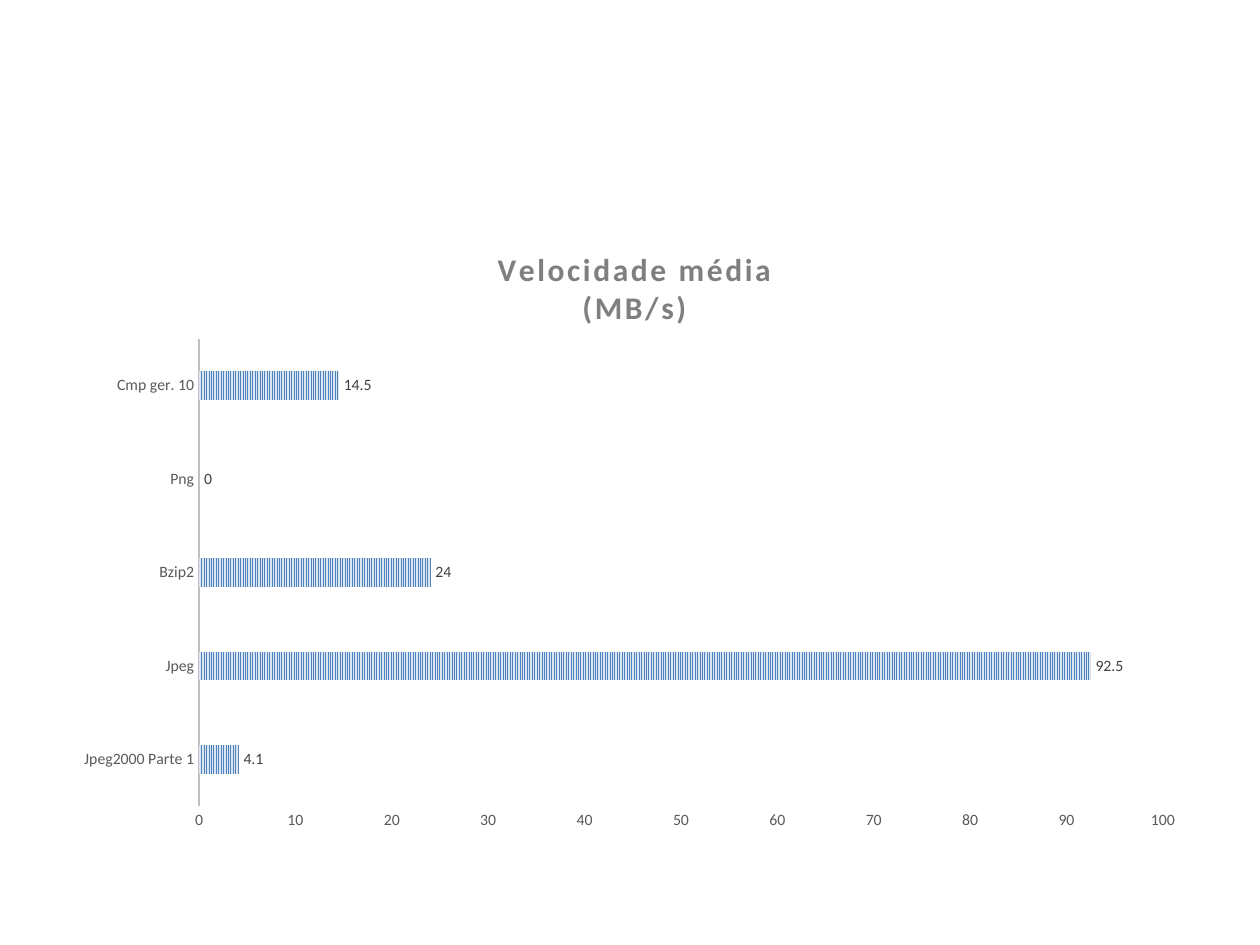
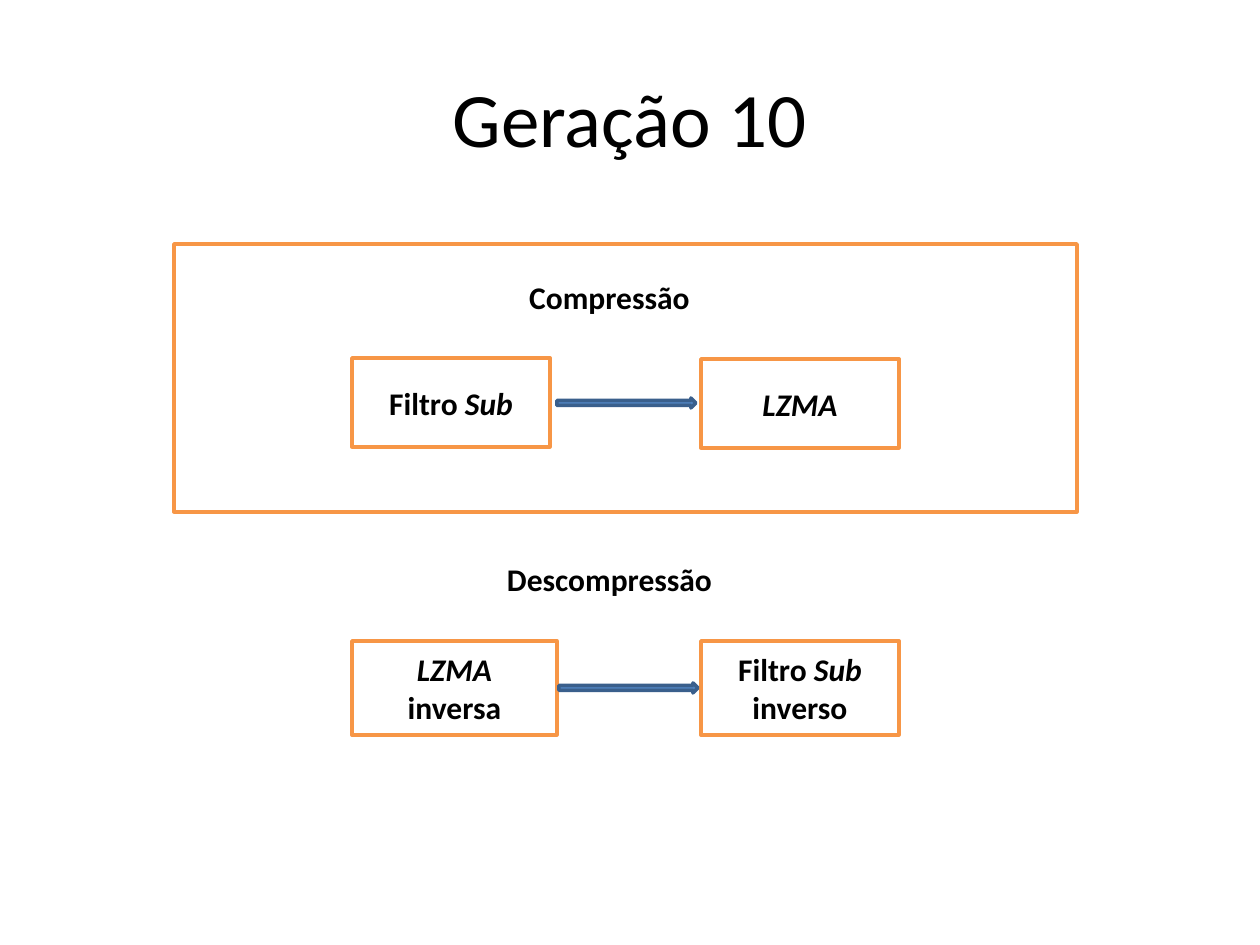
from lxml.etree import SubElement
from pptx import Presentation
from pptx.chart.data import CategoryChartData
from pptx.dml.color import RGBColor
from pptx.enum.chart import XL_CHART_TYPE, XL_LABEL_POSITION, XL_TICK_MARK
from pptx.enum.dml import MSO_PATTERN
from pptx.enum.shapes import MSO_SHAPE
from pptx.enum.text import MSO_ANCHOR, MSO_AUTO_SIZE, PP_ALIGN
from pptx.oxml.ns import qn
from pptx.util import Inches, Pt

SCALE = Inches(1) // 126
FONT = "Calibri"
TITLE_ONLY, BLANK = 5, 6
COLORS = {
    "black": "000000",
    "white": "FFFFFF",
    "blue": "4F81BD",
    "pale_blue": "DCE6F2",
    "arrow_line": "3A5F8C",
    "orange": "F79646",
    "chart_title": "7F7F7F",
    "axis_text": "595959",
    "axis_line": "BFBFBF",
    "label_text": "404040",
}
SPEEDS = {
    "Jpeg2000 Parte 1": 4.1,
    "Jpeg": 92.5,
    "Bzip2": 24,
    "Png": 0,
    "Cmp ger. 10": 14.5,
}


def color(name):
    return RGBColor.from_string(COLORS[name])


def box(*pixels):
    return [length * SCALE for length in pixels]


def format_font(font, size, color_name, bold=False, italic=False):
    font.name = FONT
    font.size = Pt(size)
    font.bold = bold
    font.italic = italic
    font.color.rgb = color(color_name)


def write_lines(text_frame, lines, size=18, bold=True):
    text_frame.word_wrap = True
    for number, runs in enumerate(lines):
        paragraph = text_frame.add_paragraph() if number else text_frame.paragraphs[0]
        paragraph.alignment = PP_ALIGN.CENTER
        for text, italic in runs:
            run = paragraph.add_run()
            run.text = text
            format_font(run.font, size, "black", bold, italic)


def add_title(slide, text):
    title = slide.shapes.title
    title.left, title.top, title.width, title.height = box(63, 38, 1134, 158)
    title.text_frame.vertical_anchor = MSO_ANCHOR.MIDDLE
    write_lines(title.text_frame, [[(text, False)]], 44, False)


def add_shape(slide, kind, place, fill, line):
    shape = slide.shapes.add_shape(kind, *box(*place))
    shape.shadow.inherit = False
    if fill:
        shape.fill.solid()
        shape.fill.fore_color.rgb = color(fill)
    else:
        shape.fill.background()
    shape.line.color.rgb = color(line)
    shape.line.width = Pt(2)
    return shape


def add_step(slide, place, lines):
    step = add_shape(slide, MSO_SHAPE.RECTANGLE, place, "white", "orange")
    step.text_frame.vertical_anchor = MSO_ANCHOR.MIDDLE
    write_lines(step.text_frame, lines)


def add_arrow(slide, left, top):
    add_shape(slide, MSO_SHAPE.RIGHT_ARROW, (left, top, 139, 10), "blue", "arrow_line")


def add_heading(slide, top, text):
    heading = slide.shapes.add_textbox(*box(461, top, 297, 52))
    write_lines(heading.text_frame, [[(text, False)]])
    heading.text_frame.auto_size = MSO_AUTO_SIZE.SHAPE_TO_FIT_TEXT


def set_layout(element, position, inner=False, **fractions):
    for old_layout in element.findall(qn("c:layout")):
        element.remove(old_layout)
    layout = element.makeelement(qn("c:layout"))
    element.insert(position, layout)
    manual = SubElement(layout, qn("c:manualLayout"))
    if inner:
        SubElement(manual, qn("c:layoutTarget")).set("val", "inner")
    for side in ("x", "y"):
        SubElement(manual, qn(f"c:{side}Mode")).set("val", "edge")
    for side, fraction in fractions.items():
        SubElement(manual, qn(f"c:{side}")).set("val", str(fraction))


def format_chart_title(chart, lines):
    chart.has_title = True
    title = chart.chart_title
    title.include_in_layout = False
    title.text_frame.text = "\n".join(lines)
    for paragraph in title.text_frame.paragraphs:
        paragraph.alignment = PP_ALIGN.CENTER
        for run in paragraph.runs:
            format_font(run.font, 18, "chart_title", True)
            run.font._element.set("spc", "150")
    set_layout(title._element, 1, x=0.38, y=0.04)


def format_axes(chart):
    for axis in (chart.category_axis, chart.value_axis):
        axis.has_major_gridlines = False
        axis.major_tick_mark = XL_TICK_MARK.NONE
        axis.minor_tick_mark = XL_TICK_MARK.NONE
        format_font(axis.tick_labels.font, 9, "axis_text")
    chart.category_axis.format.line.color.rgb = color("axis_line")
    chart.category_axis.format.line.width = Pt(1.5)
    chart.value_axis.format.line.fill.background()
    chart.value_axis.minimum_scale = 0
    chart.value_axis.maximum_scale = 100
    chart.value_axis.major_unit = 10


def format_bars(plot):
    plot.vary_by_categories = False
    plot.gap_width = 227
    plot.overlap = -48
    fill = plot.series[0].format.fill
    fill.patterned()
    fill.pattern = MSO_PATTERN.NARROW_VERTICAL
    fill.fore_color.rgb = color("blue")
    fill.back_color.rgb = color("pale_blue")
    plot.has_data_labels = True
    labels = plot.data_labels
    labels.show_value = True
    labels.position = XL_LABEL_POSITION.OUTSIDE_END
    format_font(labels.font, 9, "label_text")


def add_speed_chart(slide):
    data = CategoryChartData()
    data.categories = list(SPEEDS)
    data.add_series("Series 1", list(SPEEDS.values()))
    chart = slide.shapes.add_chart(
        XL_CHART_TYPE.BAR_CLUSTERED, *box(63, 220, 1134, 624), data
    ).chart
    chart.has_legend = False
    format_font(chart.font, 10, "black")
    format_chart_title(chart, ["Velocidade média", "(MB/s)"])
    format_axes(chart)
    format_bars(chart.plots[0])
    plot_area = chart._chartSpace.chart.plotArea
    set_layout(plot_area, 0, True, x=0.12, y=0.19, w=0.85, h=0.75)


def add_generation_diagram(slide):
    add_title(slide, "Geração 10")
    add_step(slide, (352, 358, 198, 89), [[("Filtro ", False), ("Sub", True)]])
    add_step(slide, (701, 359, 198, 89), [[("LZMA", True)]])
    add_arrow(slide, 557, 398)
    add_shape(slide, MSO_SHAPE.RECTANGLE, (174, 244, 903, 268), None, "orange")
    add_heading(slide, 272, "Compressão")
    add_step(slide, (352, 641, 205, 94), [[("LZMA", True)], [("inversa", False)]])
    add_step(
        slide,
        (701, 641, 198, 94),
        [[("Filtro ", False), ("Sub", True)], [("inverso", False)]],
    )
    add_arrow(slide, 559, 683)
    add_heading(slide, 554, "Descompressão")


def main():
    presentation = Presentation()
    presentation.slide_width, presentation.slide_height = box(1260, 945)
    layouts = presentation.slide_layouts
    add_speed_chart(presentation.slides.add_slide(layouts[BLANK]))
    add_generation_diagram(presentation.slides.add_slide(layouts[TITLE_ONLY]))
    presentation.save("out.pptx")


main()
